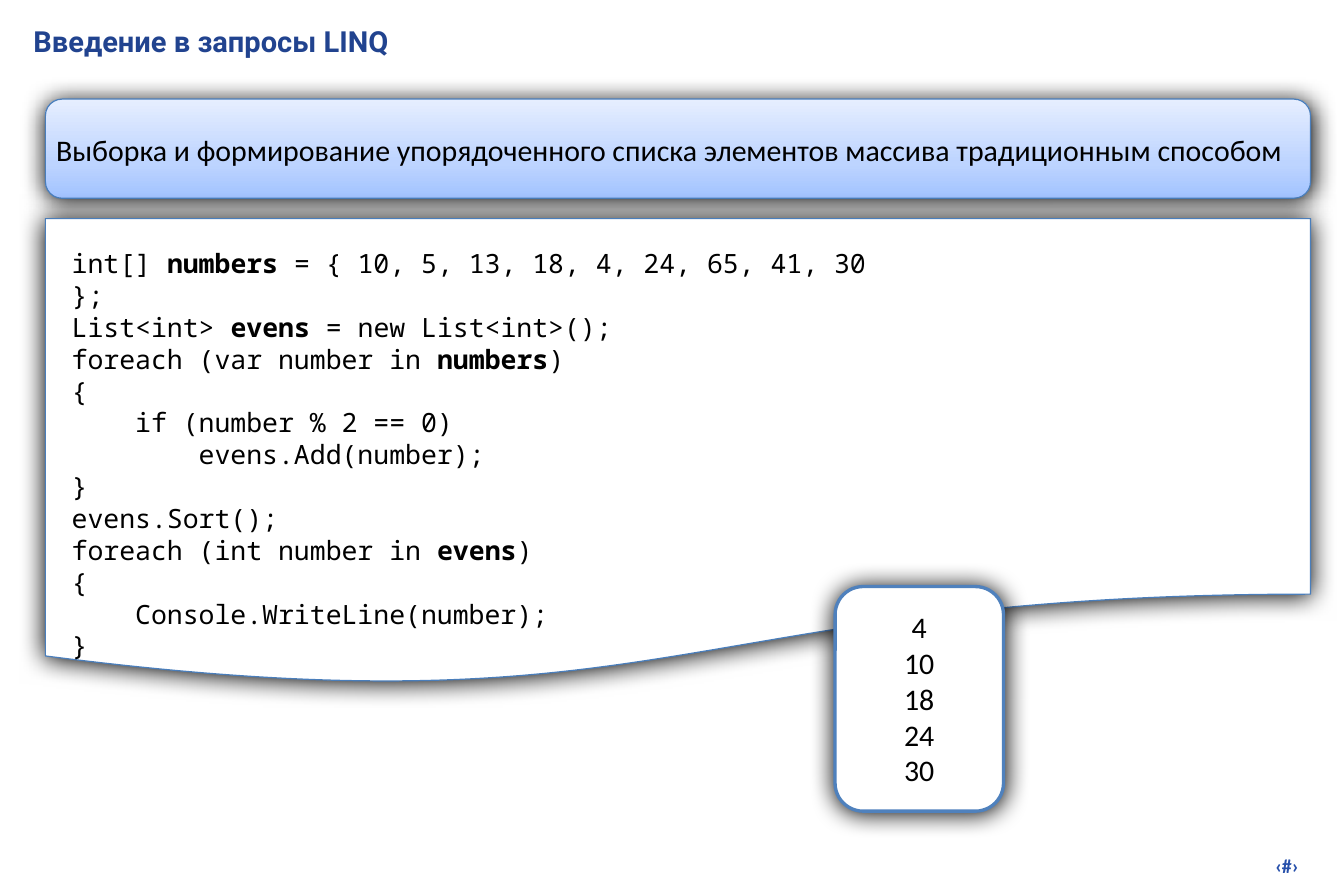
from copy import deepcopy

from lxml import etree
from pptx import Presentation
from pptx import util as u
from pptx.dml.color import RGBColor
from pptx.enum import shapes, text
from pptx.oxml import ns

COLORS = {
    "title": "21438F",
    "number": "2750AB",
    "ink": "000000",
    "paper": "FFFFFF",
    "edge": "4A7EBB",
    "result_edge": "4F81BD",
}
BANNER_STOPS = [(0, "A2C3FF"), (0.35, "BDD4FF"), (1, "E6EEFF")]

# Words between asterisks are bold.
CODE = """int[] *numbers* = { 10, 5, 13, 18, 4, 24, 65, 41, 30 };
List<int> *evens* = new List<int>();
foreach (var number in *numbers*)
{
    if (number % 2 == 0)
        evens.Add(number);
}
evens.Sort();
foreach (int number in *evens*)
{
    Console.WriteLine(number);
}"""


def rgb(name):
    return RGBColor.from_string(COLORS.get(name, name))


class LinqSlide:
    def __init__(self, deck):
        self.slide = deck.slides.add_slide(deck.slide_layouts[6])
        self.body_font = "Calibri"

    def add_text(self, content, at, size=18, font=None, color="ink", bold=False,
                 align=text.PP_ALIGN.LEFT, anchor=text.MSO_ANCHOR.TOP,
                 inset=0, line_height=None):
        """Add a text box with one paragraph per line of content."""
        frame = self.slide.shapes.add_textbox(*map(u.Inches, at)).text_frame
        frame.word_wrap = True
        frame.vertical_anchor = anchor
        frame.margin_left = frame.margin_right = u.Inches(inset)
        frame.margin_top = frame.margin_bottom = u.Inches(inset)
        for index, line in enumerate(content.split("\n")):
            paragraph = frame.paragraphs[0] if index == 0 else frame.add_paragraph()
            paragraph.alignment = align
            if line_height:
                paragraph.line_spacing = u.Pt(line_height)
            for part, words in enumerate(line.split("*")):
                if not words:
                    continue
                run = paragraph.add_run()
                run.text = words
                run.font.name = font or self.body_font
                run.font.size = u.Pt(size)
                run.font.bold = bold or part % 2 == 1
                run.font.color.rgb = rgb(color)

    def add_panel(self, preset, at, edge="edge", edge_width=0.75, stops=None):
        """Add a shape with a soft shadow, filled white or with gradient stops."""
        panel = self.slide.shapes.add_shape(preset, *map(u.Inches, at))
        if stops:
            self.blend(panel, stops)
        else:
            panel.fill.solid()
            panel.fill.fore_color.rgb = rgb("paper")
        panel.line.color.rgb = rgb(edge)
        panel.line.width = u.Pt(edge_width)
        self.add_shadow(panel)

    def blend(self, panel, stops):
        """Fill from bottom to top with the given stops."""
        panel.fill.gradient()
        panel.fill.gradient_angle = 90
        stop_list = panel._element.spPr.find(".//" + ns.qn("a:gsLst"))
        while len(stop_list) < len(stops):
            stop_list.append(deepcopy(stop_list[0]))
        for stop, (position, color) in zip(panel.fill.gradient_stops, stops):
            stop.position = position
            stop.color.rgb = rgb(color)

    def add_shadow(self, panel):
        panel.shadow.inherit = False
        effects = panel._element.spPr.find(ns.qn("a:effectLst"))
        shadow = etree.SubElement(
            effects, ns.qn("a:outerShdw"), blurRad=str(u.Pt(15)),
            dist=str(u.Pt(0.7)), dir="5400000", algn="ctr", rotWithShape="0")
        etree.SubElement(shadow, ns.qn("a:srgbClr"), val=COLORS["ink"])


def main():
    deck = Presentation()
    deck.slide_width, deck.slide_height = u.Inches(11.25), u.Inches(7.5)
    page = LinqSlide(deck)
    rounded = shapes.MSO_SHAPE.ROUNDED_RECTANGLE
    middle = text.MSO_ANCHOR.MIDDLE

    page.add_text("‹#›", (8.54, 7.1, 2.38, 0.29), size=12, color="number",
                  bold=True, align=text.PP_ALIGN.RIGHT, inset=0.05)
    page.add_text("Введение в запросы LINQ", (0.28, 0.2, 10.74, 0.4), size=17.5,
                  font="Roboto", color="title", bold=True)

    page.add_panel(rounded, (0.38, 0.83, 10.59, 0.83), stops=BANNER_STOPS)
    page.add_text("Выборка и формирование упорядоченного списка элементов "
                  "массива традиционным способом", (0.47, 1.05, 10.46, 0.41),
                  align=text.PP_ALIGN.JUSTIFY, anchor=middle)

    page.add_panel(shapes.MSO_SHAPE.FLOWCHART_DOCUMENT, (0.38, 1.83, 10.59, 3.92))
    page.add_panel(rounded, (6.99, 4.91, 1.41, 1.88), edge="result_edge",
                   edge_width=2)
    page.add_text("4\n10\n18\n24\n30", (7.06, 5.03, 1.27, 1.63),
                  align=text.PP_ALIGN.CENTER, anchor=middle)
    page.add_text(CODE, (0.6, 2.07, 6.71, 3.47), size=16, font="Noto Sans Mono",
                  line_height=19.2)

    deck.save("out.pptx")


if __name__ == "__main__":
    main()
